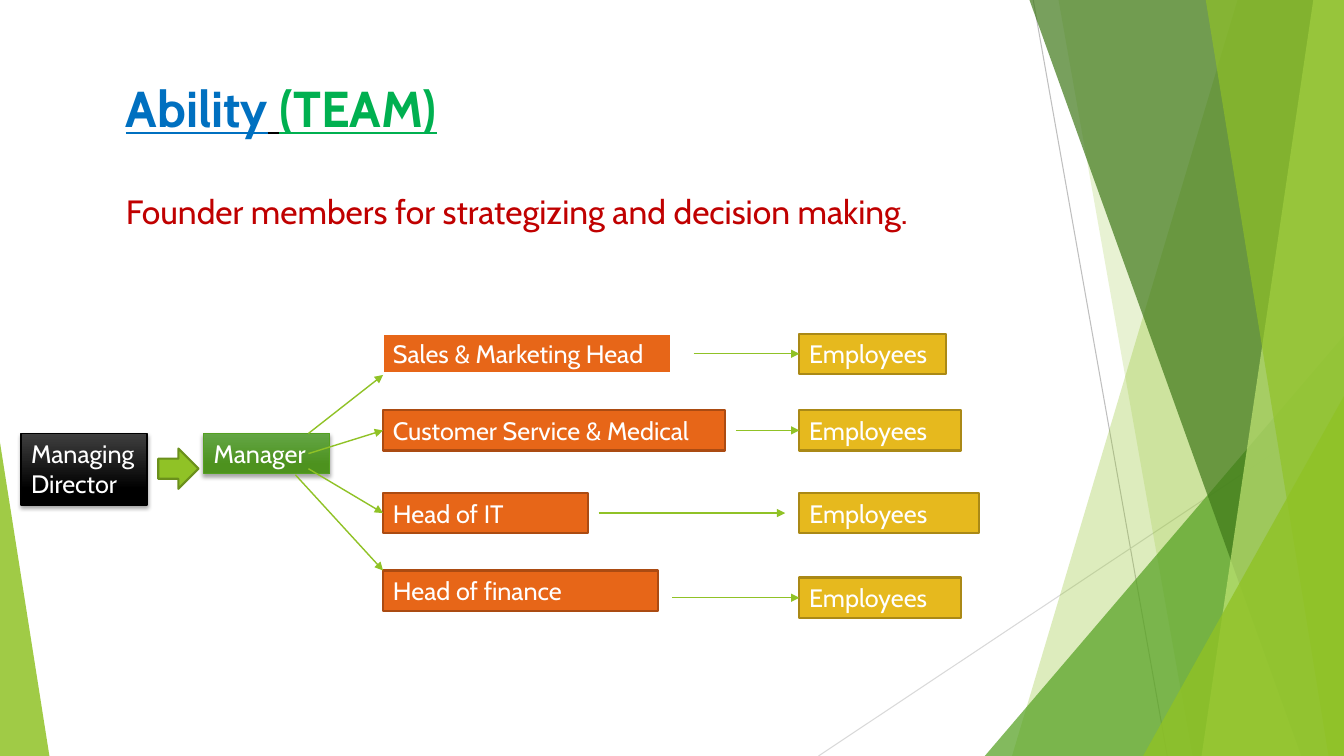
from typing import NamedTuple, Optional

from lxml import etree
from pptx import Presentation
from pptx import util as u
from pptx.dml.color import RGBColor
from pptx.enum import shapes, text
from pptx.oxml import ns

ROWS = 75
COLUMNS = 133.33
SLIDE_HEIGHT = u.Inches(7.5)
CELL = SLIDE_HEIGHT / ROWS

FONT = "Cabin"
LIME, GREEN, WHITE, BLACK = "90C226", "54A021", "FFFFFF", "000000"
HEAD_LEFT, EMPLOYEES_LEFT, BOX_HEIGHT = 38, 79.3, 4


class Run(NamedTuple):
    text: str
    colour: str
    size: float = 18
    bold: bool = False
    underline: bool = False


class Facet(NamedTuple):
    """Decor with a slanted left edge reaching the slide's right edge."""
    top_column: float
    bottom_column: float
    colour: str
    opacity: int


class Wedge(NamedTuple):
    left: float
    top: float
    width: float
    peak: float
    colour: str
    opacity: int


class Box(NamedTuple):
    left: float
    top: float
    width: float
    height: float
    label: str
    fills: tuple[str, ...]
    outline: str
    weight: float = 1.5


class Branch(NamedTuple):
    """A department, its employees and the arrows leading to both."""
    head: str
    head_top: float
    head_width: float
    employees_top: float
    employees_width: float
    arrow_start: float
    arrow_end: float
    manager_point: tuple[float, float]
    entry_row: float
    outline: str = "AB4B12"
    weight: float = 1.5


DECOR = [
    Facet(122.8, 100.4, LIME, 30),
    Facet(105, 118.3, LIME, 20),
    Wedge(97.7, 33.3, 35.63, 1, GREEN, 72),
    Facet(102.1, 129.1, "3F7819", 70),
    Facet(130.3, 119.2, "C0E474", 70),
    Facet(119.6, 131.8, LIME, 65),
    Wedge(113.4, 39.3, 19.93, 1, LIME, 80),
    Wedge(0, 43.9, 4.9, 0, LIME, 85),
]
LEADERS = [
    Box(2.1, 43, 12.5, 7.1, "Managing Director", ("3F3F3F", BLACK), BLACK, 1),
    Box(20.2, 43, 12.5, BOX_HEIGHT, "Manager", ("63A545", "4D921E"), GREEN, 1),
]
BRANCHES = [
    Branch("Sales & Marketing Head", 33.1, 28.6, 33.1, 14.6, 68.8, 79.3,
           (30.6, 43), 37.2, WHITE, 2),
    Branch("Customer Service & Medical", 40.7, 33.9, 40.7, 16, 73, 79.3,
           (30.6, 45), 42.7),
    Branch("Head of IT", 48.9, 20.3, 48.9, 17.8, 59.4, 77.9,
           (30.6, 46.5), 50.9),
    Branch("Head of finance", 56.6, 27.3, 57.3, 16, 66.7, 79.3,
           (29.3, 47.1), 56.6),
]


def cells(*counts: float) -> list[int]:
    return [round(count * CELL) for count in counts]


def rgb(colour: str) -> RGBColor:
    return RGBColor.from_string(colour)


def add_xml(parent, tag: str, **attributes: str):
    return etree.SubElement(parent, ns.qn(tag), attributes)


def paint(shape, fills: tuple[str, ...], outline: Optional[str] = None,
          weight: float = 1, opacity: int = 100) -> None:
    """One fill colour is solid; two run from top to bottom."""
    shape.shadow.inherit = False
    if len(fills) == 2:
        shape.fill.gradient()
        shape.fill.gradient_angle = 270
        for stop, colour, position in zip(shape.fill.gradient_stops, fills, (0, 0.78)):
            stop.color.rgb = rgb(colour)
            stop.position = position
    else:
        shape.fill.solid()
        shape.fill.fore_color.rgb = rgb(fills[0])
    if opacity < 100:
        colour_xml = shape.element.spPr.find(".//" + ns.qn("a:srgbClr"))
        add_xml(colour_xml, "a:alpha", val=str(opacity * 1000))
    if outline:
        shape.line.color.rgb = rgb(outline)
        shape.line.width = u.Pt(weight)
    else:
        shape.line.fill.background()


def cast_shadow(shape) -> None:
    effects = shape.element.spPr.find(ns.qn("a:effectLst"))
    shadow = add_xml(effects, "a:outerShdw", blurRad=str(u.Pt(3)), dist=str(u.Pt(2)),
                     dir="5400000", rotWithShape="0")
    add_xml(add_xml(shadow, "a:srgbClr", val=BLACK), "a:alpha", val="35000")


def write(shape, runs: list[Run]) -> None:
    frame = shape.text_frame
    layout = {"word_wrap": True, "vertical_anchor": text.MSO_ANCHOR.TOP}
    for name, value in layout.items():
        setattr(frame, name, value)
    paragraph = frame.paragraphs[0]
    paragraph.alignment = text.PP_ALIGN.LEFT
    for item in runs:
        run = paragraph.add_run()
        run.text = item.text
        run.font.color.rgb = rgb(item.colour)
        formats = {"name": FONT, "size": u.Pt(item.size), "bold": item.bold,
                   "underline": item.underline}
        for name, value in formats.items():
            setattr(run.font, name, value)


def add_line(slide, start: tuple[float, float], end: tuple[float, float],
             colour: str = LIME, weight: float = 1, arrow: bool = True) -> None:
    connector = slide.shapes.add_connector(
        shapes.MSO_CONNECTOR.STRAIGHT, *cells(*start, *end))
    connector.line.color.rgb = rgb(colour)
    connector.line.width = u.Pt(weight)
    if arrow:
        add_xml(connector.line._get_or_add_ln(), "a:tailEnd", type="triangle")
    add_xml(connector.element.spPr, "a:effectLst")


def add_decor(slide, item: Facet | Wedge) -> None:
    if isinstance(item, Facet):
        builder = slide.shapes.build_freeform(*cells(item.top_column, -0.1))
        corners = [(COLUMNS, -0.1), (COLUMNS, ROWS), (item.bottom_column, ROWS)]
        builder.add_line_segments([cells(*corner) for corner in corners], close=True)
        shape = builder.convert_to_shape()
    else:
        shape = slide.shapes.add_shape(
            shapes.MSO_SHAPE.ISOSCELES_TRIANGLE,
            *cells(item.left, item.top, item.width, ROWS - item.top))
        shape.adjustments[0] = item.peak
    paint(shape, (item.colour,), opacity=item.opacity)


def add_box(slide, box: Box) -> None:
    shape = slide.shapes.add_shape(
        shapes.MSO_SHAPE.RECTANGLE, *cells(box.left, box.top, box.width, box.height))
    paint(shape, box.fills, box.outline, box.weight)
    if len(box.fills) == 2:
        cast_shadow(shape)
    write(shape, [Run(box.label, WHITE)])


def add_branch(slide, branch: Branch) -> None:
    add_box(slide, Box(HEAD_LEFT, branch.head_top, branch.head_width, BOX_HEIGHT,
                       branch.head, ("E76618",), branch.outline, branch.weight))
    add_box(slide, Box(EMPLOYEES_LEFT, branch.employees_top, branch.employees_width,
                       BOX_HEIGHT, "Employees", ("E6B91E",), "AA8916"))
    middle = branch.employees_top + BOX_HEIGHT / 2
    add_line(slide, branch.manager_point, (HEAD_LEFT, branch.entry_row))
    add_line(slide, (branch.arrow_start, middle), (branch.arrow_end, middle))


def main() -> None:
    presentation = Presentation()
    presentation.slide_width, presentation.slide_height = cells(COLUMNS, ROWS)
    slide = presentation.slides.add_slide(presentation.slide_layouts[6])

    add_line(slide, (102.5, 0), (115.8, ROWS), "BFBFBF", 0.75, arrow=False)
    add_line(slide, (COLUMNS, 40.3), (81.2, ROWS), "D9D9D9", 0.75, arrow=False)
    for item in DECOR:
        add_decor(slide, item)

    title = slide.shapes.add_textbox(*cells(11.5, 7.2, 38.2, 7.1))
    write(title, [Run("Ability", "0070C0", 36, True, True),
                  Run(" ", BLACK, 36, True, True),
                  Run("(TEAM)", "00B050", 36, True, True)])
    subtitle = slide.shapes.add_textbox(*cells(11.5, 18.4, 87.1, 5))
    write(subtitle, [Run("Founder members for strategizing and decision making.", "C00000", 24)])

    for leader in LEADERS:
        add_box(slide, leader)
    block_arrow = slide.shapes.add_shape(shapes.MSO_SHAPE.RIGHT_ARROW, *cells(15.7, 44.5, 4, 4))
    paint(block_arrow, (LIME,), "6B901C", 1.5)
    for branch in BRANCHES:
        add_branch(slide, branch)
    presentation.save("out.pptx")


if __name__ == "__main__":
    main()
